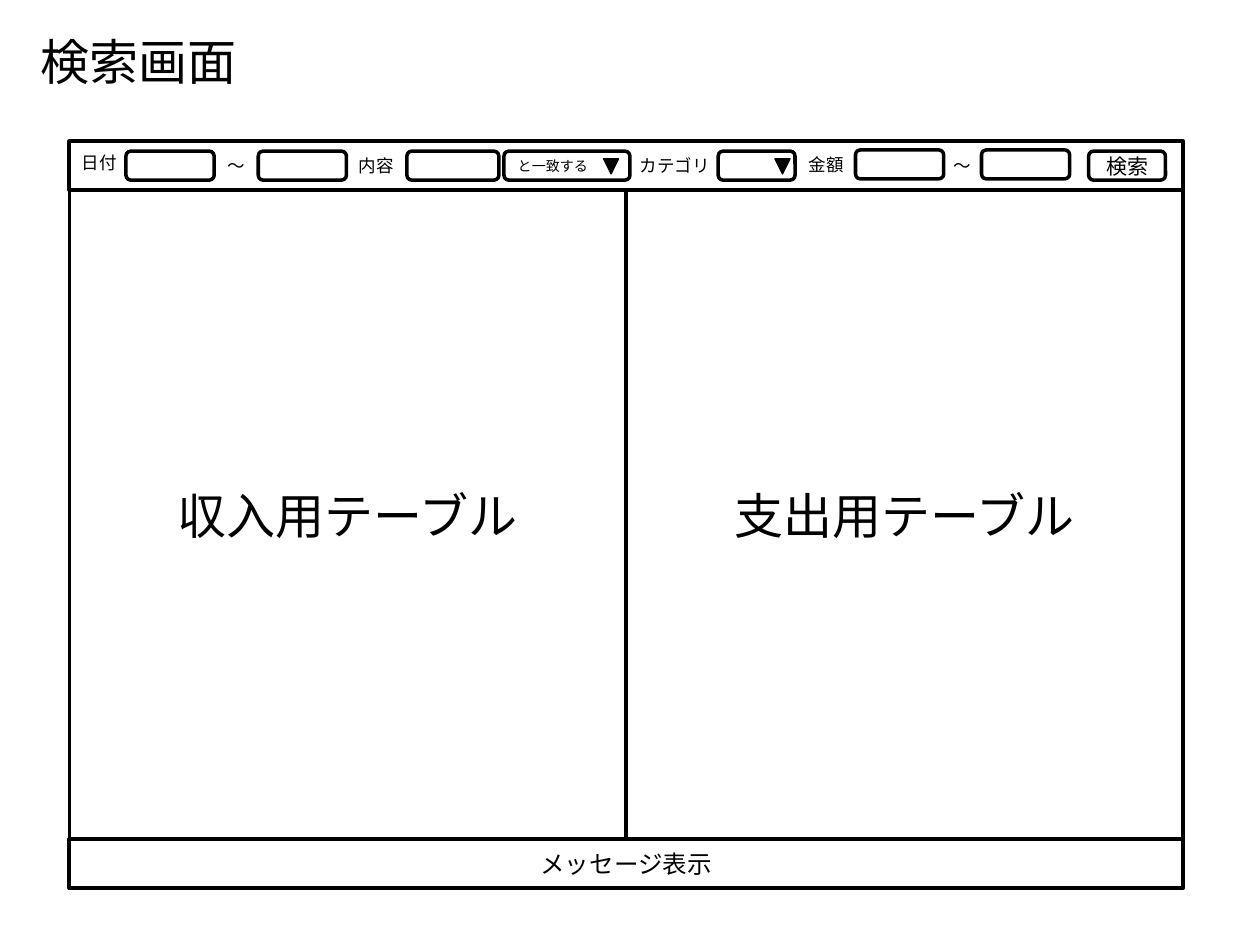
"""Build the search screen wireframe slide."""
import pptx
import pptx.util
import pptx.dml.color
import pptx.enum.shapes
import pptx.enum.text
import pptx.oxml
import pptx.oxml.ns

Inches, Pt = pptx.util.Inches, pptx.util.Pt
MSO = pptx.enum.shapes.MSO_SHAPE
ALIGN = pptx.enum.text.PP_ALIGN
ANCHOR = pptx.enum.text.MSO_ANCHOR
COLORS = {"ink": pptx.dml.color.RGBColor.from_string("000000")}
CJK = "Noto Sans CJK JP"


def write(sp, text, size=10, font=CJK, align=ALIGN.LEFT, anchor=ANCHOR.TOP, wrap=False):
    tf = sp.text_frame
    tf.word_wrap = wrap
    tf.auto_size = pptx.enum.text.MSO_AUTO_SIZE.NONE
    tf.vertical_anchor = anchor
    p = tf.paragraphs[0]
    p.alignment = align
    r = p.add_run()
    r.text = text
    r.font.size = Pt(size)
    r.font.name = font
    r.font.color.rgb = COLORS["ink"]
    ea = pptx.oxml.parse_xml(f'<a:ea {pptx.oxml.ns.nsdecls("a")} typeface="{font}"/>')
    r.font._element.find(pptx.oxml.ns.qn("a:latin")).addnext(ea)


def add_box(kind, x, y, w, h, line=2):
    sp = s.shapes.add_shape(kind, Inches(x), Inches(y), Inches(w), Inches(h))
    sp.shadow.inherit = False
    sp.fill.background()
    sp.line.color.rgb = COLORS["ink"]
    sp.line.width = Pt(line)
    return sp


prs = pptx.Presentation()
prs.slide_width, prs.slide_height = Inches(10), Inches(7.5)
s = prs.slides.add_slide(prs.slide_layouts[5])

title = s.shapes.title
title.left, title.top = Inches(0.22), Inches(0.2)
title.width, title.height = Inches(1.77), Inches(0.57)
write(title, "検索画面", size=28)

left, width, bar_h = 0.55, 8.84, 0.39
bar_top, table_top, message_top = 1.12, 1.51, 6.66
table_w = width / 2
for i, text in enumerate(["収入用テーブル", "支出用テーブル"]):
    sp = add_box(MSO.RECTANGLE, left + i * table_w, table_top, table_w, message_top - table_top)
    write(sp, text, size=28, align=ALIGN.CENTER, anchor=ANCHOR.MIDDLE, wrap=True)

add_box(MSO.RECTANGLE, left, bar_top, width, bar_h)
sp = add_box(MSO.RECTANGLE, left, message_top, width, bar_h)
write(sp, "メッセージ表示", size=14, align=ALIGN.CENTER, anchor=ANCHOR.MIDDLE, wrap=True)

labels = [
    ("日付", 0.55, 1.16, 0.48, CJK),
    ("〜", 1.71, 1.18, 0.34, "Calibri"),
    ("内容", 2.75, 1.18, 0.48, CJK),
    ("カテゴリ", 4.98, 1.18, 0.76, CJK),
    ("金額", 6.32, 1.17, 0.48, CJK),
    ("〜", 7.47, 1.18, 0.34, "Calibri"),
]
for text, x, y, w, font in labels:
    write(s.shapes.add_textbox(Inches(x), Inches(y), Inches(w), Inches(0.27)), text, font=font)

fields = [(1, 1.2, 0.7), (2.05, 1.2, 0.7), (3.23, 1.2, 0.73), (5.7, 1.2, 0.61),
          (6.79, 1.19, 0.7), (7.79, 1.19, 0.7)]
for x, y, w in fields:
    add_box(MSO.ROUNDED_RECTANGLE, x, y, w, 0.23)

match = add_box(MSO.ROUNDED_RECTANGLE, 4, 1.2, 1, 0.23)
write(match, "と一致する", size=8, anchor=ANCHOR.MIDDLE, wrap=True)
button = add_box(MSO.ROUNDED_RECTANGLE, 8.64, 1.2, 0.61, 0.23)
write(button, "検索", size=12, align=ALIGN.CENTER, anchor=ANCHOR.MIDDLE, wrap=True)

for x in (4.79, 6.15):
    arrow = add_box(MSO.ISOSCELES_TRIANGLE, x, 1.26, 0.12, 0.12, line=0.75)
    arrow.rotation = 180
    arrow.fill.solid()
    arrow.fill.fore_color.rgb = COLORS["ink"]

prs.save("out.pptx")
